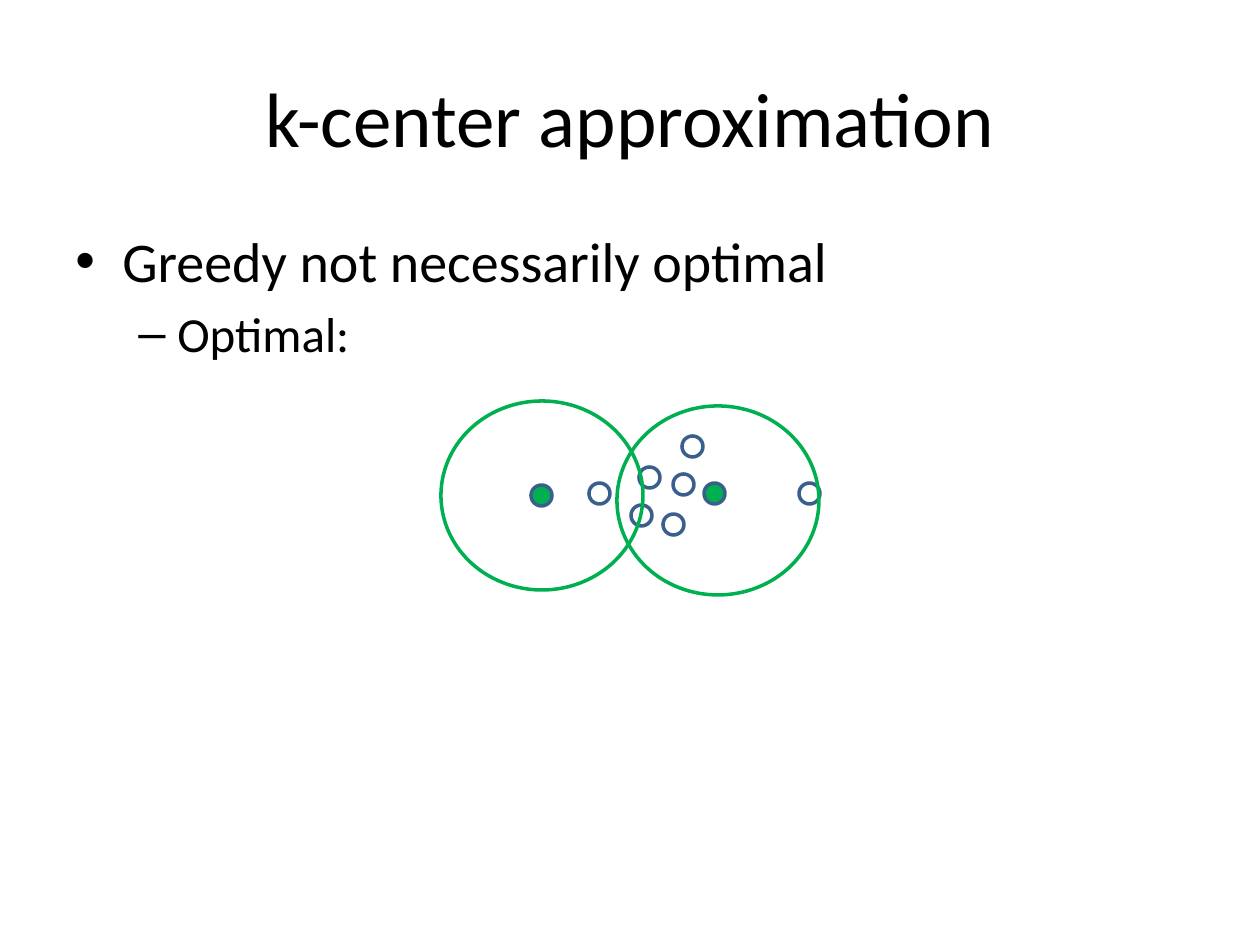
from lxml import etree
from pptx import Presentation
from pptx.dml.color import RGBColor
from pptx.enum.shapes import MSO_SHAPE
from pptx.enum.text import MSO_ANCHOR, PP_ALIGN
from pptx.oxml.ns import qn
from pptx.util import Pt

PX = 914400 / 126
GREEN, NAVY, BLACK = "00B050", "3A5F8C", "000000"


def add_text(frame, text, size, align=PP_ALIGN.LEFT, bullet=None,
             level=0, margin=0, hang=0, before=0):
    """Write text into the frame's empty first paragraph, or a new one."""
    para = frame.paragraphs[0] if not frame.text else frame.add_paragraph()
    para.level = level
    para.alignment = align
    para.space_before = Pt(before)
    if bullet:
        props = para._p.get_or_add_pPr()
        props.set("marL", str(round(margin * PX)))
        props.set("indent", str(round(-hang * PX)))
        etree.SubElement(props, qn("a:buFont")).set("typeface", "Arial")
        etree.SubElement(props, qn("a:buChar")).set("char", bullet)
    run = para.add_run()
    run.text = text
    run.font.name = "Calibri"
    run.font.size = Pt(size)
    run.font.color.rgb = RGBColor.from_string(BLACK)


def add_circle(left, top, width, height, outline, fill=None):
    circle = slide.shapes.add_shape(
        MSO_SHAPE.OVAL, *(round(v * PX) for v in (left, top, width, height)))
    circle.shadow.inherit = False
    circle.line.color.rgb = RGBColor.from_string(outline)
    circle.line.width = Pt(2)
    if fill:
        circle.fill.solid()
        circle.fill.fore_color.rgb = RGBColor.from_string(fill)
    else:
        circle.fill.background()


prs = Presentation()
prs.slide_width, prs.slide_height = round(1260 * PX), round(945 * PX)
slide = prs.slides.add_slide(prs.slide_layouts[6])

# Title and body text
frames = []
for top, height, anchor in [(38, 157, MSO_ANCHOR.MIDDLE), (220, 624, MSO_ANCHOR.TOP)]:
    box = slide.shapes.add_textbox(
        *(round(v * PX) for v in (63, top, 1134, height)))
    box.text_frame.word_wrap = True
    box.text_frame.vertical_anchor = anchor
    frames.append(box.text_frame)
title, body = frames
add_text(title, "k-center approximation", 44, align=PP_ALIGN.CENTER)
add_text(body, "Greedy not necessarily optimal", 32, bullet="•", margin=47, hang=47)
add_text(body, "Optimal:", 28, bullet="–", level=1, margin=102, hang=39, before=5.6)

# Data points, with the chosen centers filled
POINT = 21
points = [(631, 505), (639, 467), (663, 514), (673, 474), (682, 436), (799, 483), (589, 483)]
centers = [(704, 483), (531, 485)]
for left, top in points:
    add_circle(left, top, POINT, POINT, NAVY)
for left, top in centers:
    add_circle(left, top, POINT, POINT, NAVY, fill=GREEN)

# Optimal clusters
for left, top in [(441, 401), (617, 406)]:
    add_circle(left, top, 202, 189, GREEN)

prs.save("out.pptx")
